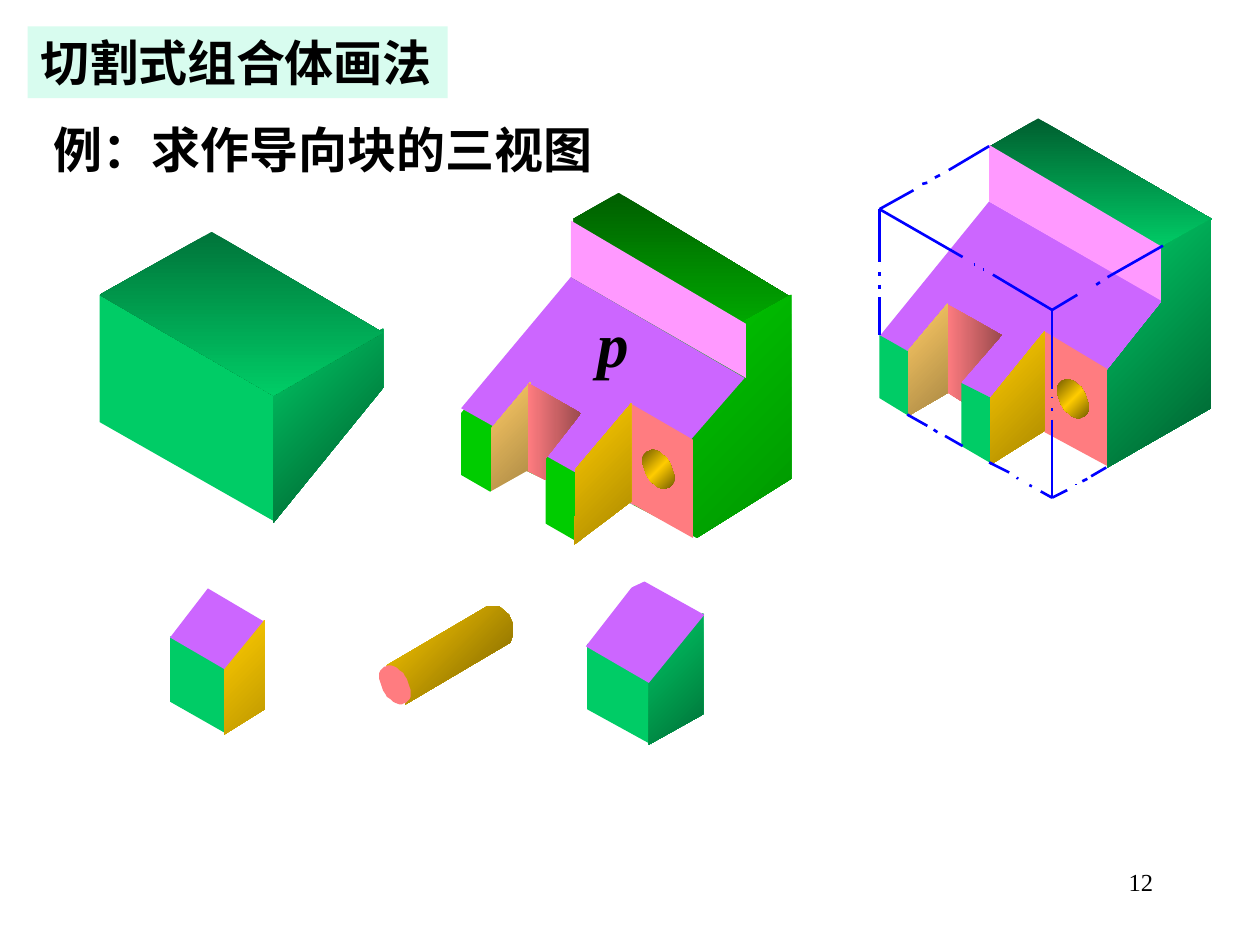
from copy import deepcopy
from dataclasses import dataclass
from typing import NamedTuple

from lxml import etree
from pptx import Presentation
from pptx.dml.color import RGBColor
from pptx.enum.shapes import MSO_CONNECTOR
from pptx.enum.text import MSO_ANCHOR, MSO_AUTO_SIZE, PP_ALIGN
from pptx.oxml.ns import qn
from pptx.util import Pt

STRAIGHT = MSO_CONNECTOR.STRAIGHT
MIDDLE, TOP = MSO_ANCHOR.MIDDLE, MSO_ANCHOR.TOP
LEFT, RIGHT = PP_ALIGN.LEFT, PP_ALIGN.RIGHT
NO_AUTOFIT = MSO_AUTO_SIZE.NONE

# The solids are drawn on a grid whose step is 0.72 points.
GRID = Pt(0.72)
TITLE_ONLY = 5
LATIN, CHINESE = "Times New Roman", "Noto Sans CJK SC"

COLORS = {
    "black": "000000", "white": "FFFFFF", "mint": "D8FCEF", "blue": "0000FF",
    "purple": "CC66FF", "pink": "FF99FF", "salmon": "FF7C80", "maroon": "9B4B4E",
    "emerald": "00CC66", "emerald deep": "005E2F", "emerald shade": "00542A",
    "emerald dark": "00743A", "emerald mid": "007038",
    "green": "00CC00", "green deep": "005E00", "green mid": "009000",
    "gold": "FFCC00", "gold mid": "AA8800", "gold soft": "BE9800",
    "gold deep": "765E00", "sand": "FFCC66", "sand dark": "AA8844",
}


class Paint(NamedTuple):
    """Colour names, and the clockwise gradient angle when there are several."""
    colors: tuple[str, ...]
    angle: int = 0


class Face(NamedTuple):
    paint: Paint
    points: list[tuple[int, int]]


class Stroke(NamedTuple):
    x1: int
    y1: int
    x2: int
    y2: int


@dataclass
class Label:
    text: str
    left: float
    top: float
    width: float
    height: float
    size: float
    font: str = LATIN
    bold: bool = True
    italic: bool = False
    align: PP_ALIGN = LEFT
    anchor: MSO_ANCHOR = MIDDLE


def solid(color: str) -> Paint:
    return Paint((color,))


def diagonal(*colors: str) -> Paint:
    return Paint(colors, 45)


def downward(*colors: str) -> Paint:
    return Paint(colors, 90)


PURPLE, PINK, SALMON = solid("purple"), solid("pink"), solid("salmon")
EMERALD, WHITE = solid("emerald"), solid("white")
GOLD_WALL = diagonal("gold", "gold mid")
SAND_WALL = diagonal("sand", "sand dark")
NOTCH_BACK = Paint(("salmon", "maroon"))
BORE = diagonal("gold deep", "gold", "gold deep")

HALF_RIM = [(4, 1), (3, 2), (1, 4), (0, 6), (0, 9), (0, 11), (1, 14), (2, 17), (3, 20),
            (5, 23), (6, 25), (9, 27), (11, 29), (13, 30), (16, 31), (18, 31), (20, 30)]


def rim(left: int, top: int) -> list[tuple[int, int]]:
    """Tilted ellipse, symmetric about its centre."""
    outline = HALF_RIM + [(25 - x, 31 - y) for x, y in HALF_RIM]
    return [(left + x, top + y) for x, y in outline]


GUIDE_BLOCK = [
    Face(PURPLE, [(785, 160), (698, 267), (721, 279), (752, 244), (794, 266), (760, 303),
                  (787, 316), (829, 264), (879, 294), (923, 239)]),
    Face(SALMON, [(829, 263), (879, 293), (879, 370), (829, 343)]),
    Face(NOTCH_BACK, [(751, 241), (795, 266), (763, 303), (764, 319), (751, 311)]),
    Face(downward("emerald deep", "emerald"), [(786, 116), (824, 94), (962, 174), (923, 197)]),
    Face(PINK, [(785, 115), (785, 160), (924, 240), (924, 197)]),
    Face(diagonal("emerald", "emerald deep"),
         [(961, 174), (961, 324), (879, 371), (879, 294), (922, 240), (922, 196)]),
    Face(EMERALD, [(698, 266), (721, 279), (721, 330), (698, 316)]),
    Face(EMERALD, [(763, 304), (787, 316), (787, 368), (763, 354)]),
    Face(SAND_WALL, [(721, 278), (752, 241), (752, 312), (721, 330)]),
    Face(BORE, rim(839, 301)),
    Face(GOLD_WALL, [(786, 316), (786, 369), (829, 342), (829, 263)]),
]
CUT_BLOCK = [
    Face(downward("green deep", "green"), [(491, 153), (366, 225), (505, 305), (628, 236)]),
    Face(diagonal("green", "green mid"), [(628, 234), (628, 380), (505, 457), (505, 303)]),
    Face(solid("green"), [(366, 224), (366, 377), (505, 457), (505, 305)]),
    Face(WHITE, [(455, 172), (453, 222), (364, 330), (347, 211), (353, 187)]),
    Face(PINK, [(453, 175), (453, 220), (592, 300), (592, 257)]),
    Face(PURPLE, [(453, 220), (591, 300), (503, 401), (366, 324)]),
    Face(WHITE, [(497, 398), (568, 435), (493, 470), (449, 439)]),
    Face(SALMON, [(500, 320), (550, 349), (550, 427), (500, 399)]),
    Face(GOLD_WALL, [(457, 372), (456, 432), (501, 398), (501, 320)]),
    Face(BORE, rim(510, 357)),
    Face(SAND_WALL, [(390, 340), (421, 303), (421, 374), (390, 392)]),
    Face(WHITE, [(418, 374), (379, 396), (433, 422), (433, 381)]),
    Face(NOTCH_BACK, [(419, 304), (461, 328), (433, 364), (433, 381), (419, 374)]),
]
WEDGE = [
    Face(EMERALD, [(79, 234), (79, 335), (218, 414), (218, 314)]),
    Face(diagonal("emerald", "emerald shade"), [(217, 307), (217, 415), (304, 308), (304, 261)]),
    Face(downward("emerald dark", "emerald"), [(79, 234), (168, 184), (304, 264), (217, 314)]),
]
CORNER_PIECE = [
    Face(EMERALD, [(466, 511), (466, 563), (517, 591), (517, 538)]),
    Face(diagonal("emerald", "emerald mid"), [(558, 487), (558, 567), (515, 591), (515, 533)]),
    Face(PURPLE, [(507, 459), (559, 488), (515, 542), (465, 513)]),
]
CYLINDER = [
    Face(diagonal("gold", "gold deep"), [(307, 528), (387, 481), (396, 481), (404, 488),
                                         (407, 495), (407, 504), (405, 510), (322, 559)]),
    Face(SALMON, rim(301, 528)),
]
NOTCH_PIECE = [
    Face(EMERALD, [(135, 505), (180, 531), (179, 582), (135, 557)]),
    Face(diagonal("gold", "gold soft"), [(210, 492), (178, 530), (178, 583), (210, 563)]),
    Face(PURPLE, [(165, 467), (135, 506), (178, 531), (209, 493)]),
]
# The cut block follows the corner piece, whose tip its white face trims.
SOLIDS = [GUIDE_BLOCK, CORNER_PIECE, CUT_BLOCK, WEDGE, CYLINDER, NOTCH_PIECE]

# Dash-dot edges of the box from which the guide block is cut.
BOX_EDGES = [Stroke(*ends) for ends in (
    (785, 116, 753, 135), (746, 139, 742, 141), (736, 145, 732, 146), (725, 151, 698, 166),
    (698, 166, 698, 208), (698, 216, 698, 219), (698, 226, 698, 229), (698, 236, 698, 266),
    (698, 166, 764, 204), (773, 210, 774, 210), (780, 214, 781, 214), (788, 218, 835, 246),
    (923, 195, 879, 220), (873, 224, 870, 226), (855, 234, 835, 246),
    (835, 246, 835, 309), (835, 315, 835, 316), (835, 324, 835, 326), (835, 333, 835, 395),
    (720, 329, 736, 338), (741, 341, 744, 343), (750, 346, 764, 354),
    (785, 367, 801, 375), (807, 379, 808, 380), (817, 385, 819, 386), (826, 390, 835, 395),
    (878, 371, 866, 378), (863, 380, 859, 382), (854, 384, 854, 385), (847, 389, 835, 395),
)]

TITLE = Label("切割式组合体画法", 15.84, 15.12, 240, 41.04, 28, CHINESE)
LABELS = [
    Label("例：求作导向块的三视图", 23.76, 64.8, 479.52, 41.04, 28),
    Label("p", 334.08, 170.64, 32.4, 50.4, 36, italic=True),
    Label("12", 516.24, 491.76, 149.76, 36, 14, bold=False, align=RIGHT, anchor=TOP),
]


def rgb(name: str) -> RGBColor:
    return RGBColor.from_string(COLORS[name])


def draw_face(shapes, face: Face) -> None:
    first, *others = face.points
    builder = shapes.build_freeform(*first, scale=GRID)
    builder.add_line_segments(others, close=True)
    shape = builder.convert_to_shape()
    shape.shadow.inherit = False
    shape.line.fill.background()
    colors, angle = face.paint
    if len(colors) == 1:
        shape.fill.solid()
        shape.fill.fore_color.rgb = rgb(colors[0])
        return
    shape.fill.gradient()
    shape.fill.gradient_angle = (360 - angle) % 360
    stop_list = next(shape._element.iter(qn("a:gsLst")))
    while len(stop_list) < len(colors):
        stop_list.insert(1, deepcopy(stop_list[0]))
    for index, (stop, color) in enumerate(zip(shape.fill.gradient_stops, colors)):
        stop.position = index / (len(colors) - 1)
        stop.color.rgb = rgb(color)


def draw_stroke(shapes, stroke: Stroke) -> None:
    edge = shapes.add_connector(STRAIGHT, *(GRID * value for value in stroke))
    edge.line.color.rgb = rgb("blue")
    edge.line.width = Pt(1.5)
    etree.SubElement(edge._element.spPr, qn("a:effectLst"))


def write_label(box, label: Label) -> None:
    """Place a text box or placeholder and format its only line."""
    box.left, box.top = Pt(label.left), Pt(label.top)
    box.width, box.height = Pt(label.width), Pt(label.height)
    frame = box.text_frame
    frame.text = label.text
    frame.word_wrap = False
    frame.auto_size = NO_AUTOFIT
    frame.vertical_anchor = label.anchor
    para = frame.paragraphs[0]
    para.alignment = label.align
    span = para.runs[0]
    span.font.size = Pt(label.size)
    span.font.bold, span.font.italic = label.bold, label.italic
    span.font.color.rgb = rgb("black")
    span.font.name = label.font
    etree.SubElement(span.font._element, qn("a:ea"), typeface=CHINESE)


def main() -> None:
    deck = Presentation()
    deck.slide_width, deck.slide_height = Pt(720), Pt(540)
    page = deck.slides.add_slide(deck.slide_layouts[TITLE_ONLY])
    title = page.shapes.title
    write_label(title, TITLE)
    title.fill.solid()
    title.fill.fore_color.rgb = rgb("mint")
    for faces in SOLIDS:
        group = page.shapes.add_group_shape()
        for face in faces:
            draw_face(group.shapes, face)
    edges = page.shapes.add_group_shape()
    for stroke in BOX_EDGES:
        draw_stroke(edges.shapes, stroke)
    for label in LABELS:
        write_label(page.shapes.add_textbox(0, 0, 0, 0), label)
    deck.save("out.pptx")


if __name__ == "__main__":
    main()
